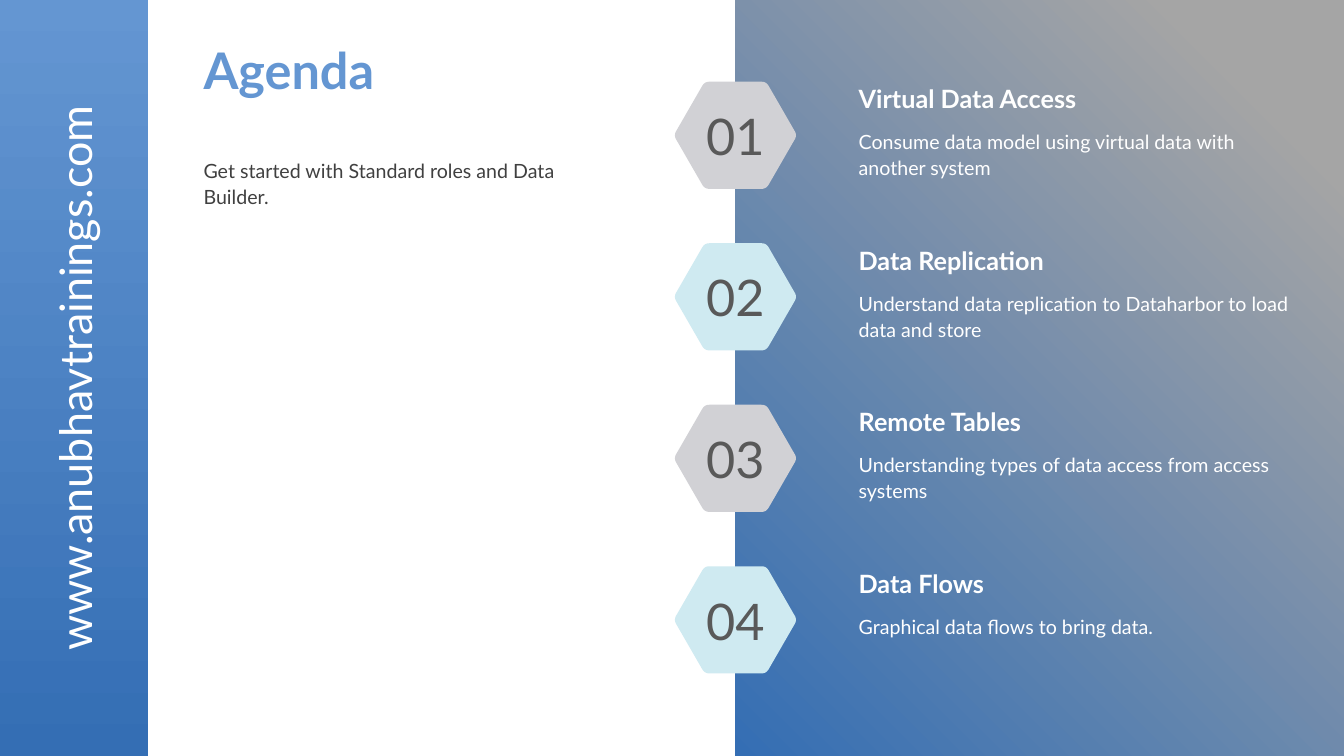
"""Agenda slide with four numbered topics beside a vertical web address."""
from math import hypot

from pptx import Presentation
from pptx.dml.color import RGBColor
from pptx.enum.shapes import MSO_SHAPE as Preset
from pptx.enum.text import MSO_ANCHOR as Anchor, PP_ALIGN as Align
from pptx.util import Cm, Pt

TITLE = "Agenda"
INTRO = "Get started with Standard roles and Data Builder."
ADDRESS = "www.anubhavtrainings.com"
TOPICS = [
    ("Virtual Data Access", "Consume data model using virtual data with another system", 11.15),
    ("Data Replication", "Understand data replication to Dataharbor to load data and store", 11.89),
    ("Remote Tables", "Understanding types of data access from access systems", 11.48),
    ("Data Flows", "Graphical data flows to bring data.", 11.15),
]
COLORS = {
    "light_blue": "6496D2", "blue": "346EB4", "grey": "A5A5A5", "white": "FFFFFF",
    "intro": "404040", "number": "595959", "badge_grey": "D1D1D5", "badge_aqua": "CFEAF1",
}
FONT = "Lato"
WIDTH, HEIGHT = 33.87, 19.05
BAND_WIDTH, PANEL_LEFT, PANEL_WIDTH = 3.74, 18.53, 15.34
TEXT_LEFT, TEXT_WIDTH = 5.13, 9.96
BADGE_LEFT, BADGE_TOP, BADGE_STEP = 17.01, 2.06, 4.07
TOPIC_LEFT, HEADING_DROP, DETAIL_DROP = 21.64, 0.07, 1.16
HEXAGON = [(-0.03, 1.35), (0.75, 0), (2.3, 0), (3.08, 1.35), (2.3, 2.7), (0.75, 2.7)]
CORNER_CUT = 0.12
CURVE_STEPS = 6


def color(name):
    return RGBColor.from_string(COLORS[name])


def write(shape, text, size, tint, bold=False, align=Align.LEFT, anchor=Anchor.TOP,
          inset=0, spacing=None):
    frame = shape.text_frame
    frame.word_wrap = True
    frame.vertical_anchor = anchor
    frame.margin_left = frame.margin_right = 0
    frame.margin_top = frame.margin_bottom = Cm(inset)
    paragraph = frame.paragraphs[0]
    paragraph.text = text
    paragraph.alignment = align
    if spacing:
        paragraph.line_spacing = spacing
    font = paragraph.font
    font.name, font.size, font.bold = FONT, Pt(size), bold
    font.color.rgb = color(tint)


def add_text(slide, box, *args, **style):
    label = slide.shapes.add_textbox(*map(Cm, box))
    write(label, *args, **style)
    return label


def add_band(slide, left, width, angle, stops):
    band = slide.shapes.add_shape(Preset.RECTANGLE, Cm(left), 0, Cm(width), Cm(HEIGHT))
    band.shadow.inherit = False
    band.line.fill.background()
    band.fill.gradient()
    band.fill.gradient_angle = angle
    for stop, (position, tint) in zip(band.fill.gradient_stops, stops):
        stop.position = position
        stop.color.rgb = color(tint)


def toward(start, end):
    share = CORNER_CUT / hypot(end[0] - start[0], end[1] - start[1])
    return tuple(a + (b - a) * share for a, b in zip(start, end))


def rounded_outline(corners):
    points = []
    for i, corner in enumerate(corners):
        enter = toward(corner, corners[i - 1])
        leave = toward(corner, corners[(i + 1) % len(corners)])
        for step in range(CURVE_STEPS + 1):
            t = step / CURVE_STEPS
            points.append(tuple((1 - t) ** 2 * a + 2 * t * (1 - t) * b + t ** 2 * c
                                for a, b, c in zip(enter, corner, leave)))
    return points


def add_badge(slide, top, number, tint):
    outline = [(Cm(BADGE_LEFT + x), Cm(top + y)) for x, y in rounded_outline(HEXAGON)]
    builder = slide.shapes.build_freeform(*outline[0])
    builder.add_line_segments(outline[1:], close=True)
    badge = builder.convert_to_shape()
    badge.shadow.inherit = False
    badge.fill.solid()
    badge.fill.fore_color.rgb = color(tint)
    badge.line.fill.background()
    write(badge, f"{number:02d}", 36, "number", align=Align.CENTER, anchor=Anchor.MIDDLE)


def main():
    deck = Presentation()
    deck.slide_width, deck.slide_height = Cm(WIDTH), Cm(HEIGHT)
    slide = deck.slides.add_slide(deck.slide_layouts[6])

    add_band(slide, 0, BAND_WIDTH, 270, [(0, "light_blue"), (1, "blue")])
    add_band(slide, PANEL_LEFT, PANEL_WIDTH, 225, [(0.13, "grey"), (1, "blue")])
    add_text(slide, (TEXT_LEFT, 0.76, TEXT_WIDTH, 1.98), TITLE, 36, "light_blue",
             bold=True, anchor=Anchor.MIDDLE, inset=0.18)
    add_text(slide, (TEXT_LEFT, 3.76, TEXT_WIDTH, 5.82), INTRO, 14, "intro",
             inset=0.18, spacing=1.1)
    address = add_text(slide, (-5.64, 8.71, 15.04, 1.63), ADDRESS, 32, "white",
                       align=Align.CENTER, inset=0.13)
    address.rotation = 270

    for i, (heading, detail, width) in enumerate(TOPICS):
        top = BADGE_TOP + i * BADGE_STEP
        add_badge(slide, top, i + 1, ("badge_grey", "badge_aqua")[i % 2])
        add_text(slide, (TOPIC_LEFT, top + HEADING_DROP, width, 0.74), heading, 18, "white",
                 bold=True, anchor=Anchor.BOTTOM)
        add_text(slide, (TOPIC_LEFT, top + DETAIL_DROP, width, 1.45), detail, 14, "white",
                 spacing=1.1)

    deck.save("out.pptx")


if __name__ == "__main__":
    main()
